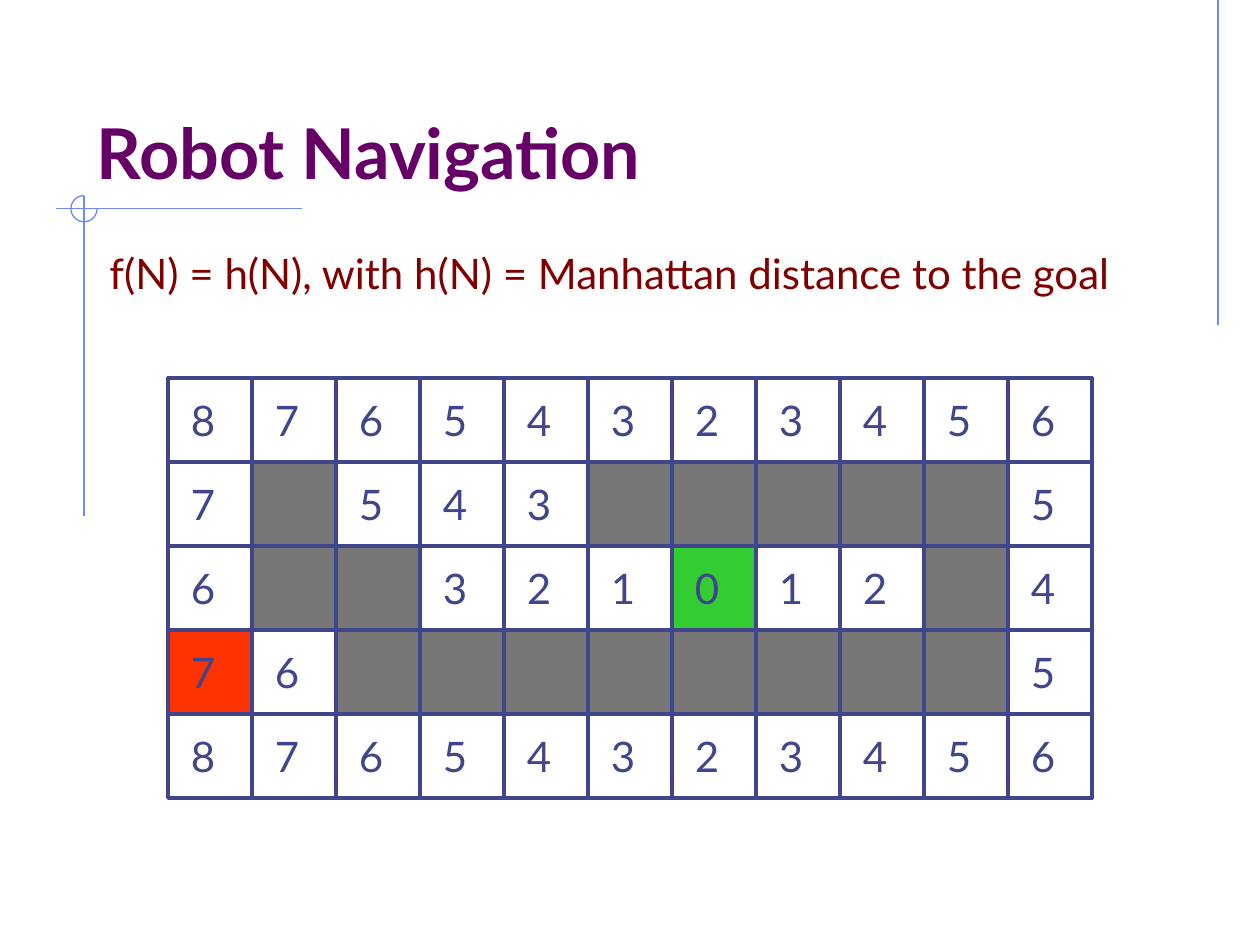
"""Builds the Robot Navigation slide with its Manhattan distance grid."""
import pptx
import pptx.dml.color
import pptx.enum.shapes
import pptx.enum.text
import pptx.oxml.ns
import pptx.util
from lxml import etree


class Theme:
    font = "Lato"
    title_size, text_size = 40, 24
    ornament_width, grid_width = 0.75, 2.25
    title = pptx.dml.color.RGBColor.from_string("660066")
    formula = pptx.dml.color.RGBColor.from_string("800000")
    ornament = pptx.dml.color.RGBColor.from_string("6F89F7")
    grid = pptx.dml.color.RGBColor.from_string("40458C")
    wall = pptx.dml.color.RGBColor.from_string("777777")
    start = pptx.dml.color.RGBColor.from_string("FF3300")
    goal = pptx.dml.color.RGBColor.from_string("33CC33")


PX = 9525
CELL = 64
GRID_LEFT, GRID_TOP = 128, 288
ROWS = ["87654323456", "7#543#####5", "6##321012#4", "76########5", "87654323456"]
START, GOAL = (3, 0), (2, 6)


def write(shape, text, size=Theme.text_size, color=Theme.grid, bold=False, wrap=False,
          anchor=pptx.enum.text.MSO_ANCHOR.TOP):
    frame = shape.text_frame
    frame.word_wrap = wrap
    frame.auto_size = pptx.enum.text.MSO_AUTO_SIZE.NONE
    frame.vertical_anchor = anchor
    paragraph = frame.paragraphs[0]
    paragraph.alignment = pptx.enum.text.PP_ALIGN.LEFT
    run = paragraph.add_run()
    run.text = text
    run.font.name = Theme.font
    run.font.size = pptx.util.Pt(size)
    run.font.bold = bold
    run.font.color.rgb = color


def draw_line(x1, y1, x2, y2, color, width):
    connector = slide.shapes.add_connector(
        pptx.enum.shapes.MSO_CONNECTOR.STRAIGHT, x1 * PX, y1 * PX, x2 * PX, y2 * PX)
    connector.line.color.rgb = color
    connector.line.width = pptx.util.Pt(width)
    etree.SubElement(connector._element.spPr, pptx.oxml.ns.qn("a:effectLst"))


presentation = pptx.Presentation()
presentation.slide_width = 960 * PX
presentation.slide_height = 720 * PX
slide = presentation.slides.add_slide(presentation.slide_layouts[5])

for ends in [(928, 0, 928, 248), (230, 159, 43, 159), (64, 149, 64, 393)]:
    draw_line(*ends, Theme.ornament, Theme.ornament_width)
arc = slide.shapes.add_shape(
    pptx.enum.shapes.MSO_SHAPE.ARC, 54 * PX, 149 * PX, 20 * PX, 20 * PX)
arc.adjustments[0] = 0
arc.adjustments[1] = 162
arc.shadow.inherit = False
arc.fill.background()
arc.line.color.rgb = Theme.ornament
arc.line.width = pptx.util.Pt(Theme.ornament_width)

title = slide.shapes.title
title.left, title.top, title.width, title.height = 64 * PX, 32 * PX, 816 * PX, 120 * PX
write(title, "Robot Navigation", size=Theme.title_size, color=Theme.title, bold=True,
      wrap=True, anchor=pptx.enum.text.MSO_ANCHOR.BOTTOM)

grid_right = GRID_LEFT + CELL * len(ROWS[0])
grid_bottom = GRID_TOP + CELL * len(ROWS)
border = slide.shapes.add_shape(
    pptx.enum.shapes.MSO_SHAPE.RECTANGLE, GRID_LEFT * PX, GRID_TOP * PX,
    (grid_right - GRID_LEFT) * PX, (grid_bottom - GRID_TOP) * PX)
border.shadow.inherit = False
border.fill.background()
border.line.color.rgb = Theme.grid
border.line.width = pptx.util.Pt(Theme.grid_width)
for x in range(GRID_LEFT + CELL, grid_right, CELL):
    draw_line(x, GRID_TOP, x, grid_bottom, Theme.grid, Theme.grid_width)
for y in range(GRID_TOP + CELL, grid_bottom, CELL):
    draw_line(GRID_LEFT, y, grid_right, y, Theme.grid, Theme.grid_width)

special_fills = {START: Theme.start, GOAL: Theme.goal}
for row, values in enumerate(ROWS):
    for column, value in enumerate(values):
        x, y = GRID_LEFT + column * CELL, GRID_TOP + row * CELL
        fill = Theme.wall if value == "#" else special_fills.get((row, column))
        if fill is not None:
            square = slide.shapes.add_shape(
                pptx.enum.shapes.MSO_SHAPE.RECTANGLE, x * PX, y * PX, CELL * PX, CELL * PX)
            square.shadow.inherit = False
            square.fill.solid()
            square.fill.fore_color.rgb = fill
            square.line.color.rgb = Theme.grid
            square.line.width = pptx.util.Pt(Theme.grid_width)
        if value != "#":
            distance = slide.shapes.add_textbox((x + 8) * PX, (y + 8) * PX, 37 * PX, 48 * PX)
            write(distance, value)

formula = slide.shapes.add_textbox(74 * PX, 184 * PX, 830 * PX, 48 * PX)
write(formula, "f(N) = h(N), with h(N) = Manhattan distance to the goal", color=Theme.formula)

presentation.save("out.pptx")
